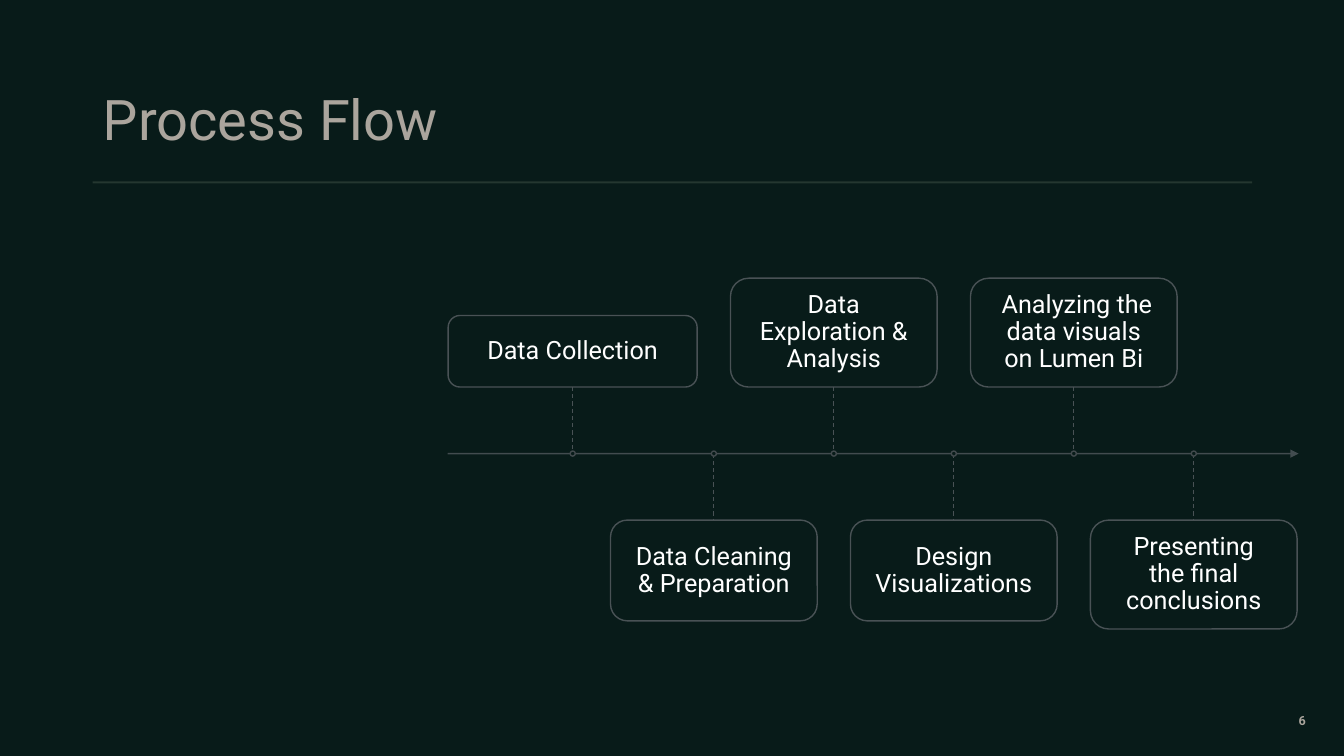
from pptx import Presentation
from pptx.dml.color import RGBColor
from pptx.enum.dml import MSO_LINE
from pptx.enum.shapes import MSO_CONNECTOR, MSO_SHAPE
from pptx.enum.text import MSO_ANCHOR, MSO_AUTO_SIZE, PP_ALIGN
from pptx.oxml.ns import qn
from pptx.util import Inches, Pt
from lxml.etree import SubElement

# Content: text, box width and height in inches
TITLE = "Process Flow"
PAGE = "6"
STEPS = [
    ("Data Collection", 2.47, 0.71),
    ("Data Cleaning & Preparation", 2.05, 1),
    ("Data Exploration & Analysis", 2.05, 1.08),
    ("Design Visualizations", 2.05, 1),
    (" Analyzing the data visuals on Lumen Bi", 2.05, 1.08),
    ("Presenting the final conclusions", 2.05, 1.08),
]
COLORS = {"back": "081B19", "head": "E2D4CA", "rule": "415347",
          "edge": "495255", "dot": "424A4D", "text": "FFFFFF"}
FONT = "Roboto"

# Grid: the axis sits at 60% of the height, steps alternate around it
WIDE, HIGH = 13.33, 7.5
LEFT, SPAN = 0.92, 11.5
AXIS, STEM = HIGH * 0.6, 0.66
FIRST, NEXT, COL = 5.68, 7.08, 1.19
DOT = 0.05


def paint(color, name, alpha=100):
    color.rgb = RGBColor.from_string(COLORS[name])
    if alpha < 100:
        for node in color._xFill.iter(qn("a:srgbClr")):
            SubElement(node, qn("a:alpha")).set("val", str(alpha * 1000))


def write(shape, text, size, name, align, alpha=100, bold=False):
    frame = shape.text_frame
    frame.word_wrap = True
    frame.auto_size = MSO_AUTO_SIZE.NONE
    frame.vertical_anchor = MSO_ANCHOR.MIDDLE
    par = frame.paragraphs[0]
    par.alignment = align
    run = par.add_run()
    run.text = text
    font = run.font
    font.name, font.size, font.bold = FONT, Pt(size), bold
    font.fill.solid()
    paint(font.fill.fore_color, name, alpha)
    return frame


def rule(x1, y1, x2, y2, name, width, alpha=100):
    line = slide.shapes.add_connector(
        MSO_CONNECTOR.STRAIGHT, *map(Inches, (x1, y1, x2, y2)))
    line.line.width = Pt(width)
    line.line.fill.solid()
    paint(line.line.fill.fore_color, name, alpha)
    SubElement(line._element.spPr, qn("a:effectLst"))
    return line.line


def block(kind, x, y, w, h, name):
    shape = slide.shapes.add_shape(kind, *map(Inches, (x, y, w, h)))
    shape.shadow.inherit = False
    shape.fill.solid()
    paint(shape.fill.fore_color, "back")
    shape.line.width = Pt(1)
    paint(shape.line.color, name)
    return shape


deck = Presentation()
deck.slide_width, deck.slide_height = Inches(WIDE), Inches(HIGH)
slide = deck.slides.add_slide(deck.slide_layouts[5])
slide.background.fill.solid()
paint(slide.background.fill.fore_color, "back")

# Title, rule and page number
rule(LEFT, 1.81, LEFT + SPAN, 1.81, "rule", 1.5, 50)
head = slide.shapes.title
head.left, head.top, head.width, head.height = map(
    Inches, (LEFT, 0.72, SPAN, 0.9))
write(head, TITLE, 40, "head", PP_ALIGN.LEFT, 75)
page = slide.shapes.add_textbox(*map(Inches, (11.5, 6.95, 1.55, 0.4)))
write(page, PAGE, 9, "head", PP_ALIGN.RIGHT, 75, True)

# Time axis with its arrowhead
axis = rule(4.44, AXIS, 12.88, AXIS, "edge", 1, 90)
SubElement(axis._get_or_add_ln(), qn("a:tailEnd")).set("type", "triangle")

# Steps: even ones above the axis, odd ones below
for i, (text, w, h) in enumerate(STEPS):
    mid = NEXT + COL * (i - 1) if i else FIRST
    edge = AXIS + (STEM if i % 2 else -STEM)
    top = edge if i % 2 else edge - h
    box = block(MSO_SHAPE.ROUNDED_RECTANGLE, mid - w / 2, top, w, h, "edge")
    frame = write(box, text, 18, "text", PP_ALIGN.CENTER)
    frame.margin_left = frame.margin_right = Inches(0.17)
    frame.margin_top = frame.margin_bottom = Inches(0.17)
    frame.paragraphs[0].line_spacing = 0.9
    stem = rule(mid, min(edge, AXIS), mid, max(edge, AXIS), "edge", 0.75)
    stem.dash_style = MSO_LINE.DASH
    block(MSO_SHAPE.OVAL, mid - DOT / 2, AXIS - DOT / 2, DOT, DOT, "dot")

deck.save("out.pptx")
